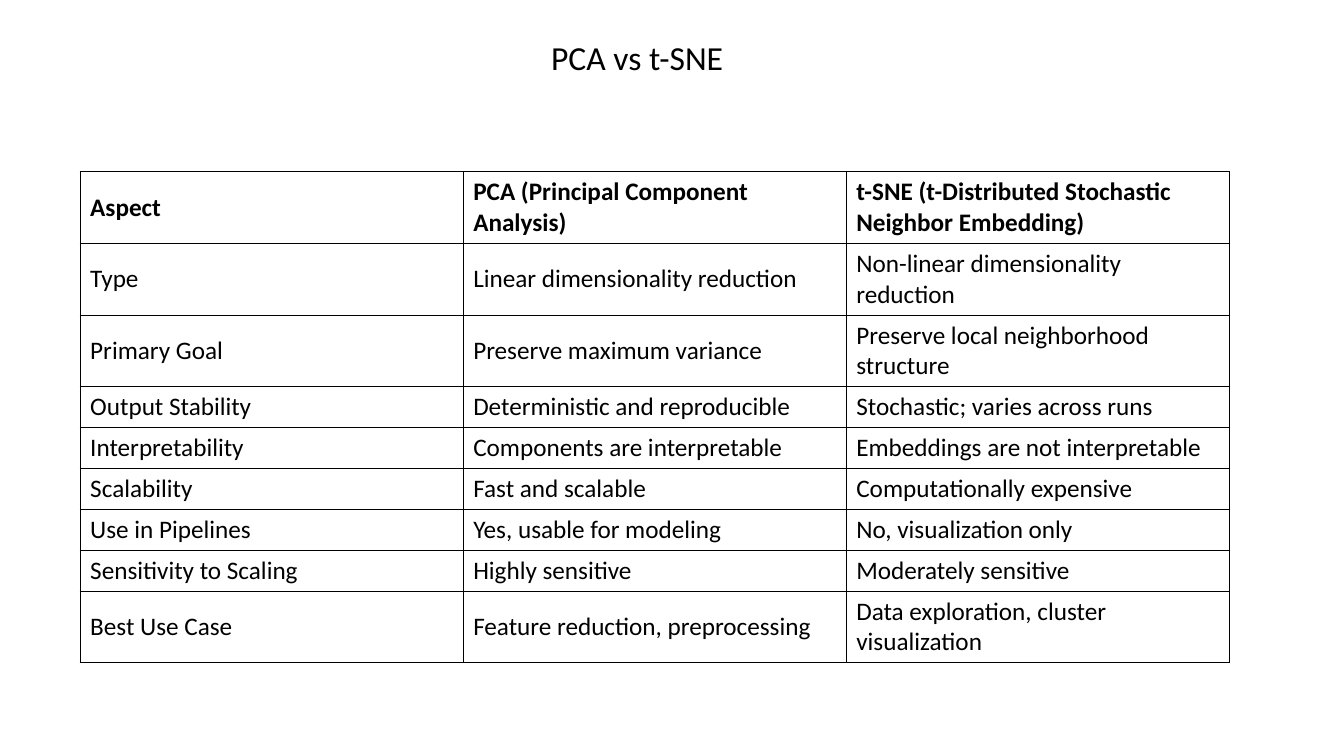
from lxml.etree import SubElement
from pptx import Presentation
from pptx.dml.color import RGBColor
from pptx.enum.text import MSO_ANCHOR
from pptx.oxml.ns import qn
from pptx.util import Cm, Pt

BLACK = RGBColor(0x00, 0x00, 0x00)
FONT = "Calibri"
ONE_LINE, TWO_LINES = 1.02, 1.75  # row heights in cm

# Row height, then aspect, PCA and t-SNE
COMPARISON = [
    (TWO_LINES, "Aspect", "PCA (Principal Component Analysis)",
     "t-SNE (t-Distributed Stochastic Neighbor Embedding)"),
    (TWO_LINES, "Type", "Linear dimensionality reduction",
     "Non-linear dimensionality reduction"),
    (TWO_LINES, "Primary Goal", "Preserve maximum variance",
     "Preserve local neighborhood structure"),
    (ONE_LINE, "Output Stability", "Deterministic and reproducible",
     "Stochastic; varies across runs"),
    (ONE_LINE, "Interpretability", "Components are interpretable",
     "Embeddings are not interpretable"),
    (ONE_LINE, "Scalability", "Fast and scalable", "Computationally expensive"),
    (ONE_LINE, "Use in Pipelines", "Yes, usable for modeling",
     "No, visualization only"),
    (ONE_LINE, "Sensitivity to Scaling", "Highly sensitive",
     "Moderately sensitive"),
    (TWO_LINES, "Best Use Case", "Feature reduction, preprocessing",
     "Data exploration, cluster visualization"),
]


def style_font(paragraph, size, bold=False):
    font = paragraph.font
    font.name, font.size, font.bold = FONT, Pt(size), bold
    font.color.rgb = BLACK


def add_borders(cell):
    properties = cell._tc.get_or_add_tcPr()
    for side in ("a:lnL", "a:lnR", "a:lnT", "a:lnB"):
        line = SubElement(properties, qn(side), w=str(Pt(1)))
        fill = SubElement(line, qn("a:solidFill"))
        SubElement(fill, qn("a:srgbClr"), val=str(BLACK))


def add_title(slide, left, top, width, height):
    box = slide.shapes.add_textbox(Cm(left), Cm(top), Cm(width), Cm(height))
    box.text_frame.word_wrap = True
    paragraph = box.text_frame.paragraphs[0]
    paragraph.text = "PCA vs t-SNE"
    style_font(paragraph, 24)


def add_comparison(slide, left, top, width):
    column_count = len(COMPARISON[0]) - 1
    height = sum(row[0] for row in COMPARISON)
    table = slide.shapes.add_table(
        len(COMPARISON), column_count,
        Cm(left), Cm(top), Cm(width), Cm(height)).table
    table.first_row = table.horz_banding = False
    for column in table.columns:
        column.width = Cm(width / column_count)
    for row_index, (row_height, *texts) in enumerate(COMPARISON):
        table.rows[row_index].height = Cm(row_height)
        for column_index, text in enumerate(texts):
            cell = table.cell(row_index, column_index)
            cell.text = text
            cell.vertical_anchor = MSO_ANCHOR.MIDDLE
            style_font(cell.text_frame.paragraphs[0], 18, bold=row_index == 0)
            add_borders(cell)
            cell.fill.background()


def main():
    presentation = Presentation()
    presentation.slide_width, presentation.slide_height = Cm(33.87), Cm(19.05)
    slide = presentation.slides.add_slide(presentation.slide_layouts[6])
    add_comparison(slide, left=2.02, top=4.33, width=28.96)
    add_title(slide, left=13.64, top=0.8, width=15.14, height=1.28)
    presentation.save("out.pptx")


if __name__ == "__main__":
    main()
